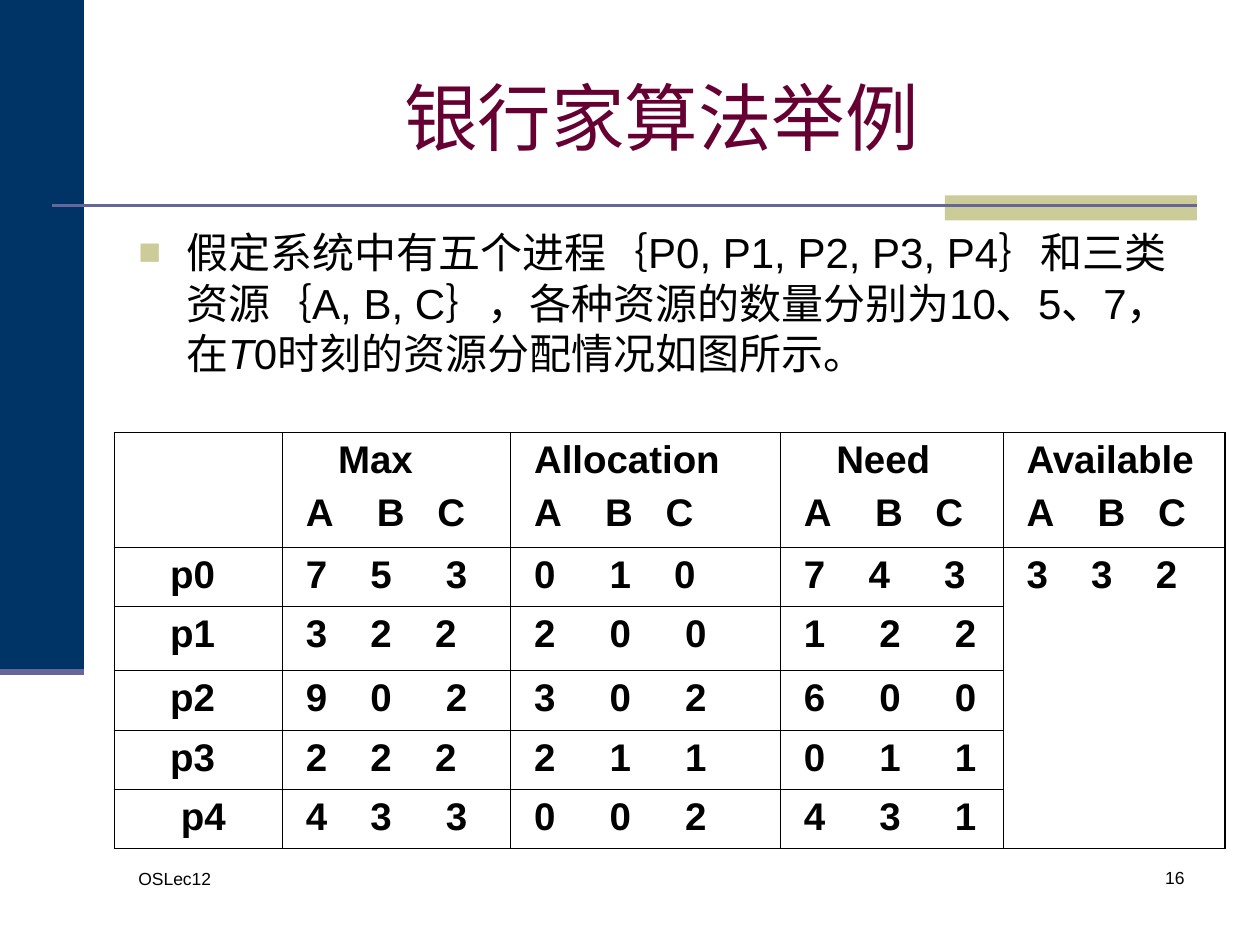
"""Build the slide with the banker's algorithm example and its resource table."""
from dataclasses import dataclass

from lxml.etree import SubElement, fromstring
from pptx import Presentation
from pptx.dml.color import RGBColor as Rgb
from pptx.enum.shapes import MSO_CONNECTOR as Connector, MSO_SHAPE as Preset
from pptx.enum.text import MSO_ANCHOR as Anchor, PP_ALIGN as Align
from pptx.oxml.ns import nsdecls, qn
from pptx.util import Inches, Pt


@dataclass(frozen=True)
class Theme:
    font: str = "Arial"
    ink: str = "000000"
    title: str = "660033"
    navy: str = "003366"
    sand: str = "CCCC99"
    rule: str = "666699"
    title_size: int = 42
    body_size: int = 24
    table_size: int = 22
    footer_size: int = 10
    inner_line: float = 0.45
    outer_line: float = 1.08


theme = Theme()
deck = Presentation()
deck.slide_width, deck.slide_height = Inches(10), Inches(7.5)
slide = deck.slides.add_slide(deck.slide_layouts[6])
unit = deck.slide_width // 120


def grid(*steps):
    return [round(step * unit) for step in steps]


def add_run(paragraph, text, size, color=theme.ink, bold=False, italic=False):
    run = paragraph.add_run()
    run.text = text
    run.font.name, run.font.size = theme.font, Pt(size)
    run.font.bold, run.font.italic = bold, italic
    run.font.color.rgb = Rgb.from_string(color)


for area, color in [((0, 0, 8, 64), theme.navy), ((90, 18.6, 24, 2.4), theme.sand)]:
    band = slide.shapes.add_shape(Preset.RECTANGLE, *grid(*area))
    band.shadow.inherit = False
    band.fill.solid()
    band.fill.fore_color.rgb = Rgb.from_string(color)
    band.line.fill.background()

for ends, weight in [((5, 19.6, 114, 19.6), 1.5), ((0, 64, 8, 64), 3.5)]:
    rule = slide.shapes.add_connector(Connector.STRAIGHT, *grid(*ends))
    rule.line.color.rgb = Rgb.from_string(theme.rule)
    rule.line.width = Pt(weight)
    SubElement(rule._element.spPr, qn("a:effectLst"))

statement = [
    ("假定系统中有五个进程｛P0, P1, P2, P3, P4｝和三类资源｛A, B, C｝，各种资源的数量分别为10、5、7，在", False),
    ("T", True),
    ("0时刻的资源分配情况如图所示。", False),
]
texts = [
    ((12, 82.1, 26, 6), [("OSLec12", False)], theme.footer_size, theme.ink, Align.LEFT, Anchor.TOP),
    ((89, 82, 25, 6), [("16", False)], theme.footer_size, theme.ink, Align.RIGHT, Anchor.TOP),
    ((12, 3.6, 102, 15), [("银行家算法举例", False)], theme.title_size, theme.title, Align.CENTER, Anchor.MIDDLE),
    ((12, 21, 102, 20.2), statement, theme.body_size, theme.ink, Align.LEFT, Anchor.TOP),
]
for area, runs, size, color, align, anchor in texts:
    frame = slide.shapes.add_textbox(*grid(*area)).text_frame
    frame.word_wrap, frame.vertical_anchor = True, anchor
    paragraph = frame.paragraphs[0]
    paragraph.alignment = align
    if runs is statement:
        bullet = paragraph._p.get_or_add_pPr()
        bullet.set("marL", str(Inches(0.38)))
        bullet.set("indent", str(-Inches(0.38)))
        tint = SubElement(bullet, qn("a:buClr"))
        SubElement(tint, qn("a:srgbClr"), val=theme.sand)
        SubElement(bullet, qn("a:buSzPct"), val="90000")
        SubElement(bullet, qn("a:buFont"), typeface=theme.font)
        SubElement(bullet, qn("a:buChar"), char="■")
    for text, italic in runs:
        add_run(paragraph, text, size, color, italic=italic)

space = Pt(theme.table_size * 0.28)
tight, mixed, loose, early, letters = (6, 12), (6, 13), (7, 14), (7, 13), (6.6, 12.2)
headings = [("Max", 3), ("Allocation", 0), ("Need", 3), ("Available", 0)]
processes = [
    ("p0", 4, [("753", mixed), ("010", early), ("743", mixed), ("332", tight)]),
    ("p1", 4, [("322", tight), ("200", loose), ("122", loose)]),
    ("p2", 4, [("902", mixed), ("302", loose), ("600", loose)]),
    ("p3", 4, [("222", tight), ("211", loose), ("011", loose)]),
    ("p4", 5, [("433", mixed), ("002", loose), ("431", loose)]),
]
columns = grid(16, 21.75, 25.7, 21.2, 21.15)
rows = grid(10.9, 5.65, 6.1, 5.65, 5.65, 5.65)
last_row, last_column = len(rows) - 1, len(columns) - 1
table = slide.shapes.add_table(
    len(rows), len(columns), *grid(10.9, 41.2), sum(columns), sum(rows)
).table
for column, width in zip(table.columns, columns):
    column.width = width
for row, height in zip(table.rows, rows):
    row.height = height
table.cell(1, last_column).merge(table.cell(last_row, last_column))

contents = {(0, c): [(name, indent, ()), ("ABC", 0, letters)]
            for c, (name, indent) in enumerate(headings, 1)}
for r, (process, indent, amounts) in enumerate(processes, 1):
    contents[r, 0] = [(process, indent - 1, ())]
    for c, (digits, stops) in enumerate(amounts, 1):
        contents[r, c] = [(digits, 0, stops)]

for r in range(len(rows)):
    for c in range(len(columns)):
        cell = table.cell(r, c)
        cell.fill.background()
        cell.margin_left = Inches(0.1) + space
        cell.margin_right = 0
        outer = {"L": c == 0, "R": c == last_column, "T": r == 0,
                 "B": r == last_row or cell.is_merge_origin}
        if cell.is_spanned:
            del outer["T"]
            if r < last_row:
                del outer["B"]
        for order, (side, is_outer) in enumerate(outer.items()):
            weight = Pt(theme.outer_line if is_outer else theme.inner_line)
            border = fromstring(
                f'<a:ln{side} {nsdecls("a")} w="{weight}"><a:solidFill>'
                f'<a:srgbClr val="{theme.ink}"/></a:solidFill></a:ln{side}>')
            cell._tc.get_or_add_tcPr().insert(order, border)
        for number, (text, indent, stops) in enumerate(contents.get((r, c), [])):
            frame = cell.text_frame
            paragraph = frame.add_paragraph() if number else frame.paragraphs[0]
            settings = paragraph._p.get_or_add_pPr()
            settings.set("marL", str(round(indent * space)))
            if stops:
                tabs = SubElement(settings, qn("a:tabLst"))
                for stop in stops:
                    SubElement(tabs, qn("a:tab"), pos=str(round(stop * space)), algn="l")
            if number:
                paragraph.space_before = Pt(5.5)
            add_run(paragraph, "\t".join(text) if stops else text, theme.table_size, bold=True)

deck.save("out.pptx")
